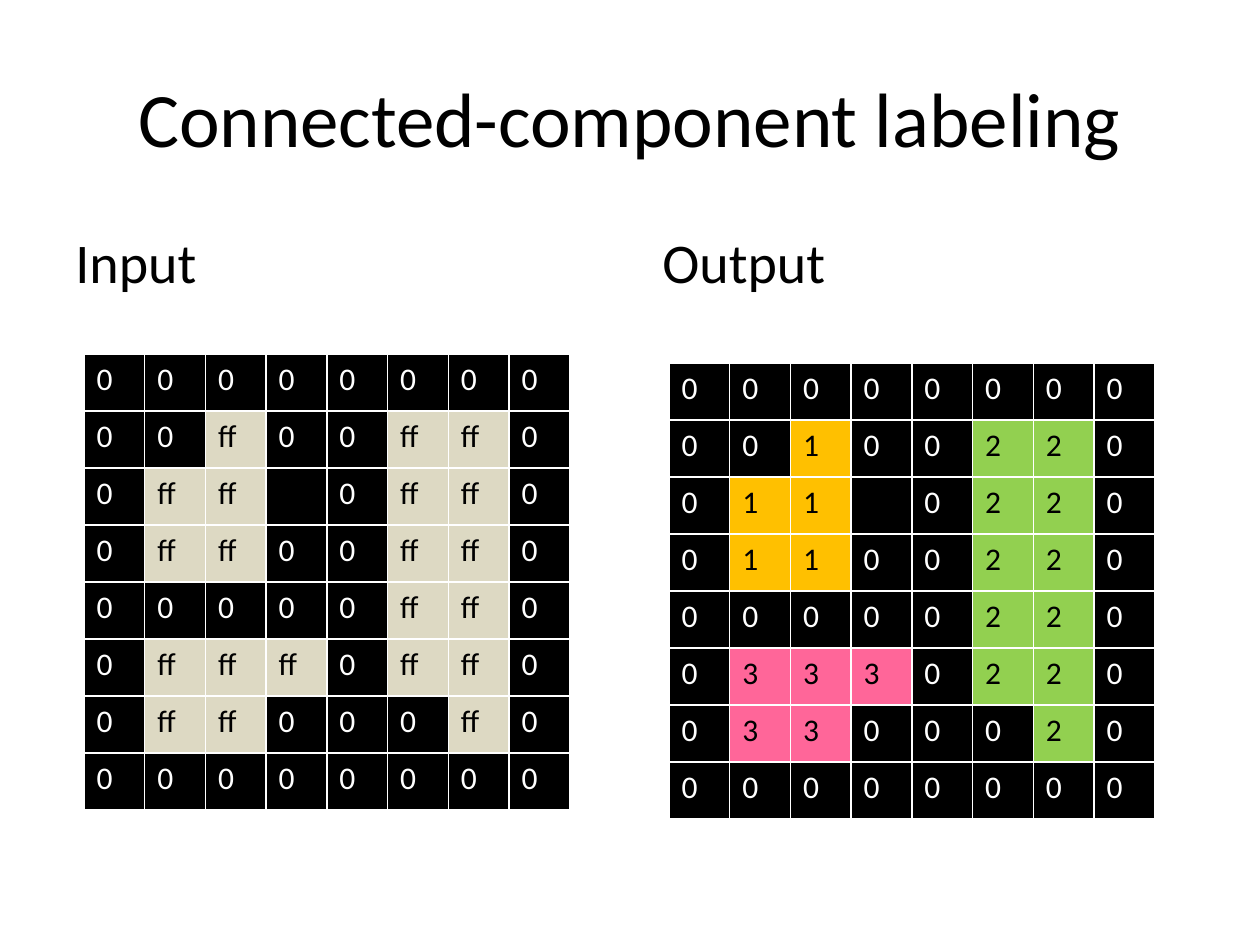
from lxml.etree import SubElement
from pptx import Presentation
from pptx.dml.color import RGBColor
from pptx.enum.text import MSO_ANCHOR, PP_ALIGN
from pptx.oxml.ns import qn
from pptx.util import Emu, Pt

FONT = "Calibri"
BLACK, WHITE = "000000", "FFFFFF"
GRID_SIZE = 8
INPUT_FILLS = {"ff": "DDD9C3"}
OUTPUT_FILLS = {"1": "FFC000", "2": "92D050", "3": "FF6699"}
LABELS = [
    "00000000",
    "00100220",
    "011 0220",
    "01100220",
    "00000220",
    "03330220",
    "03300020",
    "00000000",
]


def px(length):
    """Turn px at 126 to the inch into EMU."""
    return Emu(round(length * 914400 / 126))


def color(hex_value):
    """Return the colour for a hex string."""
    return RGBColor.from_string(hex_value)


def style_runs(paragraph, size, hex_value):
    """Format every run of a paragraph."""
    for run in paragraph.runs:
        run.font.name = FONT
        run.font.size = Pt(size)
        run.font.bold = False
        run.font.color.rgb = color(hex_value)


def add_text(slide, box, text, size, anchor, align):
    """Add a one-paragraph text box and return its paragraph."""
    frame = slide.shapes.add_textbox(*map(px, box)).text_frame
    frame.word_wrap = True
    frame.vertical_anchor = anchor
    paragraph = frame.paragraphs[0]
    paragraph.text = text
    paragraph.alignment = align
    style_runs(paragraph, size, BLACK)
    return paragraph


def add_title(slide, box):
    """Add the centred slide title."""
    add_text(slide, box, "Connected-component labeling", 44, MSO_ANCHOR.MIDDLE, PP_ALIGN.CENTER)


def add_headings(slide, box, output_offset):
    """Add both grid headings on one line, parted by a tab stop."""
    headings = add_text(slide, box, "Input\tOutput", 32, MSO_ANCHOR.TOP, PP_ALIGN.LEFT)
    stops = SubElement(headings._p.get_or_add_pPr(), qn("a:tabLst"))
    SubElement(stops, qn("a:tab"), pos=str(px(output_offset)), algn="l")


def add_borders(cell):
    """Give a cell thin white borders on all sides."""
    properties = cell._tc.get_or_add_tcPr()
    for side in ("lnL", "lnR", "lnT", "lnB"):
        line = SubElement(properties, qn(f"a:{side}"), w=str(Pt(1)))
        fill = SubElement(line, qn("a:solidFill"))
        SubElement(fill, qn("a:srgbClr"), val=WHITE)


def add_pixel_grid(slide, box, rows, fills):
    """Add a grid of pixel values, coloured by value on black."""
    left, top, width, height = map(px, box)
    grid = slide.shapes.add_table(GRID_SIZE, GRID_SIZE, left, top, width, height).table
    grid.first_row = False
    grid.horz_banding = False
    for row_index, values in enumerate(rows):
        for column_index, value in enumerate(values):
            cell = grid.cell(row_index, column_index)
            add_borders(cell)
            cell.fill.solid()
            cell.fill.fore_color.rgb = color(fills.get(value, BLACK))
            cell.text_frame.text = value
            style_runs(cell.text_frame.paragraphs[0], 18, BLACK if value in fills else WHITE)


def main():
    """Build and save the slide."""
    presentation = Presentation()
    presentation.slide_width, presentation.slide_height = px(1260), px(945)
    slide = presentation.slides.add_slide(presentation.slide_layouts[6])

    output_rows = [[label.strip() for label in row] for row in LABELS]
    input_rows = [["ff" if label in OUTPUT_FILLS else label for label in row] for row in output_rows]

    add_title(slide, (63, 38, 1134, 158))
    add_headings(slide, (63, 221, 1134, 624), 587)
    add_pixel_grid(slide, (84, 354, 486, 456), input_rows, INPUT_FILLS)
    add_pixel_grid(slide, (669, 363, 486, 456), output_rows, OUTPUT_FILLS)
    presentation.save("out.pptx")


if __name__ == "__main__":
    main()
